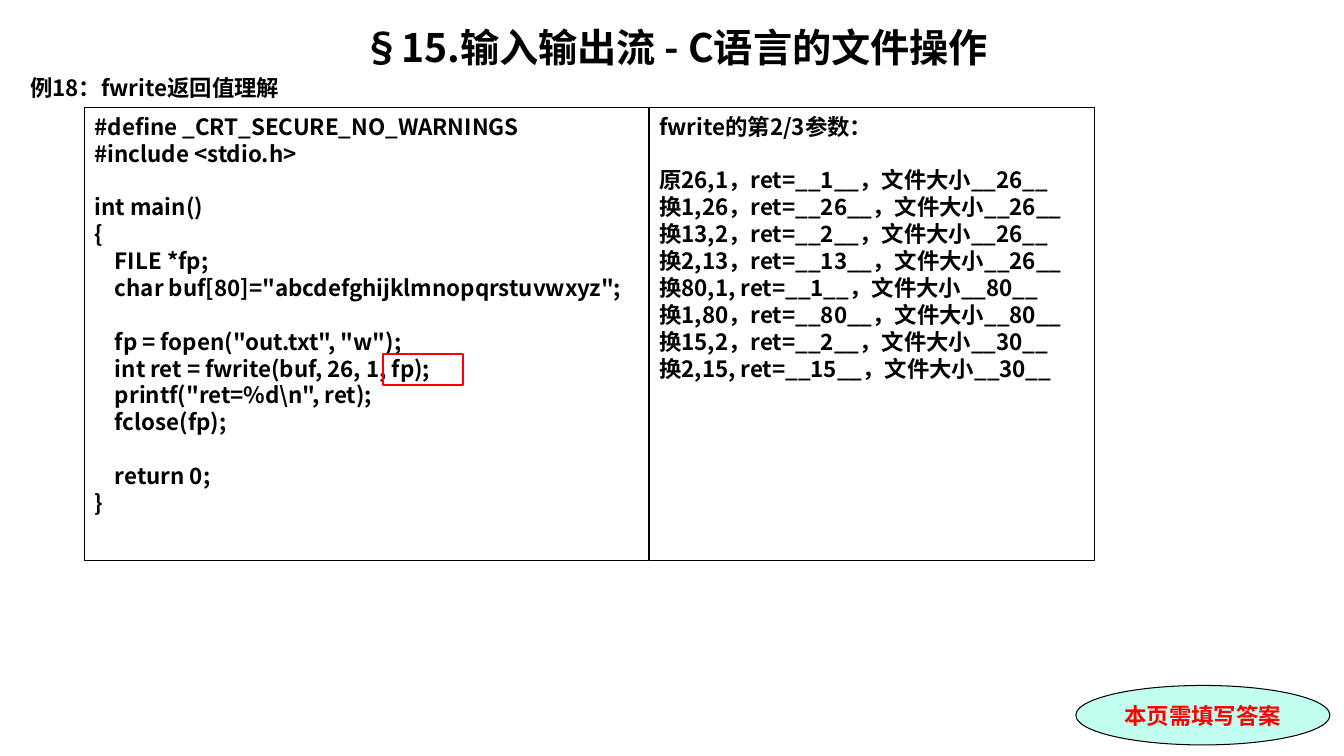
import pptx
import pptx.util
import pptx.dml.color
import pptx.enum.shapes
import pptx.enum.text
import lxml.etree

Inches = pptx.util.Inches
Pt = pptx.util.Pt
ALIGN = pptx.enum.text.PP_ALIGN
ANCHOR = pptx.enum.text.MSO_ANCHOR
SHAPE = pptx.enum.shapes.MSO_SHAPE
NOTO = "Noto Sans CJK SC"
DRAW = "{http://schemas.openxmlformats.org/drawingml/2006/main}"

CODE = r'''#define _CRT_SECURE_NO_WARNINGS
#include <stdio.h>

int main()
{
    FILE *fp;
    char buf[80]="abcdefghijklmnopqrstuvwxyz";

    fp = fopen("out.txt", "w");
    int ret = fwrite(buf, 26, 1, fp);
    printf("ret=%d\n", ret);
    fclose(fp);

    return 0;
}'''

NOTES = '''fwrite的第2/3参数：

原26,1，ret=__1__，文件大小__26__
换1,26，ret=__26__，文件大小__26__
换13,2，ret=__2__，文件大小__26__
换2,13，ret=__13__，文件大小__26__
换80,1, ret=__1__，文件大小__80__
换1,80，ret=__80__，文件大小__80__
换15,2，ret=__2__，文件大小__30__
换2,15, ret=__15__，文件大小__30__'''


def color(code):
    return pptx.dml.color.RGBColor.from_string(code)


def write(frame, text, size=16, font=NOTO, ink="000000",
          align=ALIGN.LEFT, anchor=ANCHOR.TOP):
    frame.word_wrap = True
    frame.auto_size = pptx.enum.text.MSO_AUTO_SIZE.NONE
    frame.vertical_anchor = anchor
    frame.margin_left = frame.margin_right = Inches(0.1)
    frame.margin_top = frame.margin_bottom = Inches(0.05)
    pitch = size * 1.2
    gap = 0
    first = True
    for line in text.split("\n"):
        if not line:
            gap += pitch
            continue
        para = frame.paragraphs[0] if first else frame.add_paragraph()
        first = False
        para.alignment = align
        para.line_spacing = Pt(pitch)
        para.space_before = Pt(gap)
        gap = 0
        run = para.add_run()
        run.text = line
        run.font.name = font
        run.font.size = Pt(size)
        run.font.bold = True
        run.font.color.rgb = color(ink)
        east = lxml.etree.SubElement(run.font._element, DRAW + "ea")
        east.set("typeface", NOTO)


class Page:
    line = "000000"
    width = 0.75

    def __init__(self, deck):
        self.slide = deck.slides.add_slide(deck.slide_layouts[1])

    def place(self, index, box, text, **style):
        holder = self.slide.placeholders[index]
        holder.left, holder.top, holder.width, holder.height = map(Inches, box)
        write(holder.text_frame, text, **style)
        for para in holder.text_frame.paragraphs:
            props = para._p.get_or_add_pPr()
            props.set("marL", "0")
            props.set("indent", "0")
            lxml.etree.SubElement(props, DRAW + "buNone")

    def shape(self, kind, box, text="", fill=None, line=None, width=None, **style):
        item = self.slide.shapes.add_shape(kind, *map(Inches, box))
        item.shadow.inherit = False
        if fill:
            item.fill.solid()
            item.fill.fore_color.rgb = color(fill)
        else:
            item.fill.background()
        item.line.color.rgb = color(line or self.line)
        item.line.width = Pt(width or self.width)
        if text:
            write(item.text_frame, text, **style)


def main():
    deck = pptx.Presentation()
    deck.slide_width = Inches(13.33)
    deck.slide_height = Inches(7.5)
    page = Page(deck)
    page.place(0, (0.2, 0.18, 12.99, 0.57), "§15.输入输出流 - C语言的文件操作",
               size=28, align=ALIGN.CENTER)
    page.place(1, (0.2, 0.69, 12.99, 0.37), "例18：fwrite返回值理解")
    page.shape(SHAPE.RECTANGLE, (0.84, 1.07, 5.59, 4.49), CODE)
    page.shape(SHAPE.RECTANGLE, (6.44, 1.07, 4.42, 4.49), NOTES)
    page.shape(SHAPE.RECTANGLE, (3.8, 3.51, 0.79, 0.31), line="FF0000", width=1.5)
    page.shape(SHAPE.OVAL, (10.67, 6.8, 2.52, 0.59), "本页需填写答案",
               fill="C2FFF0", font="Times New Roman", ink="FF0000",
               align=ALIGN.CENTER, anchor=ANCHOR.MIDDLE)
    deck.save("out.pptx")


if __name__ == "__main__":
    main()
